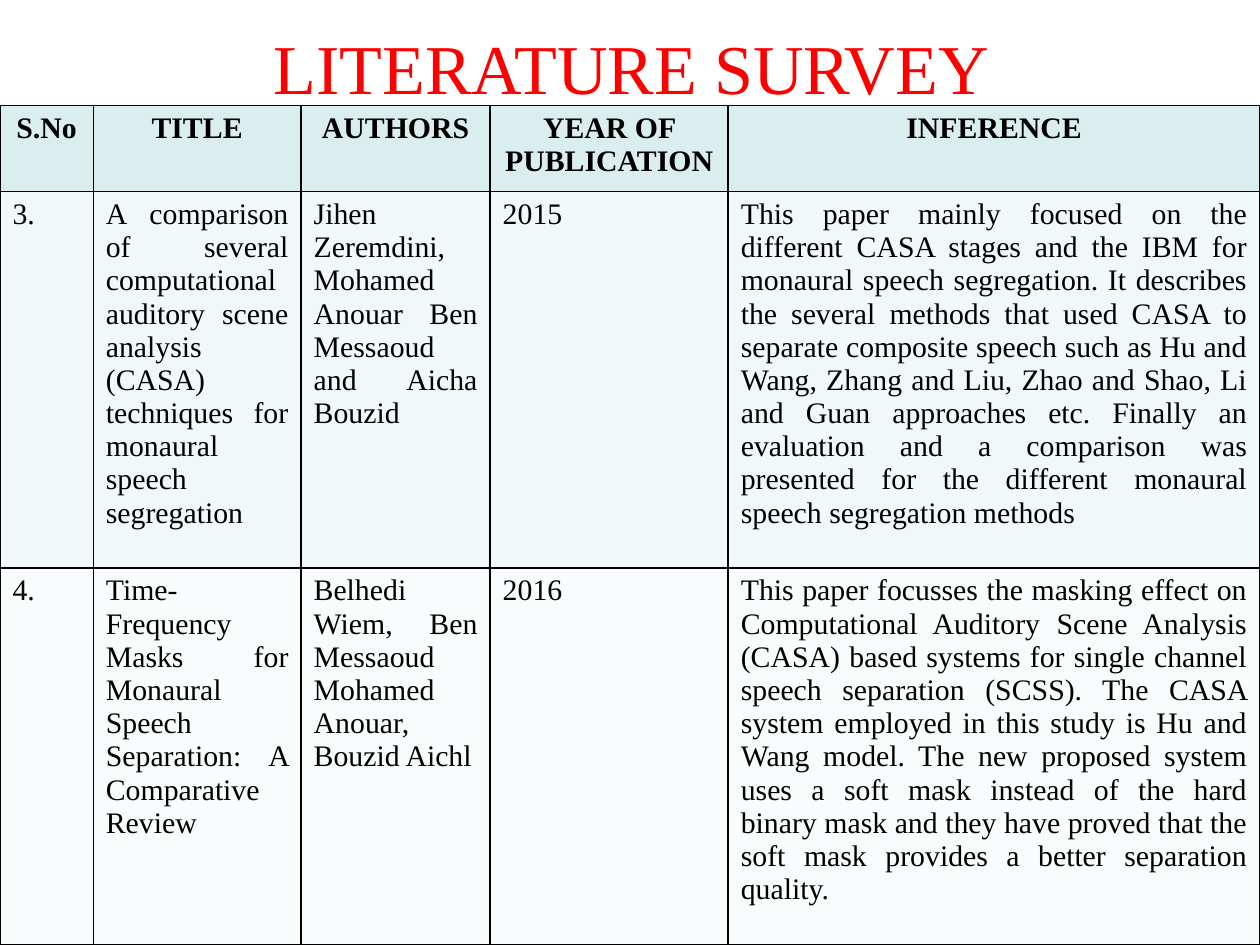
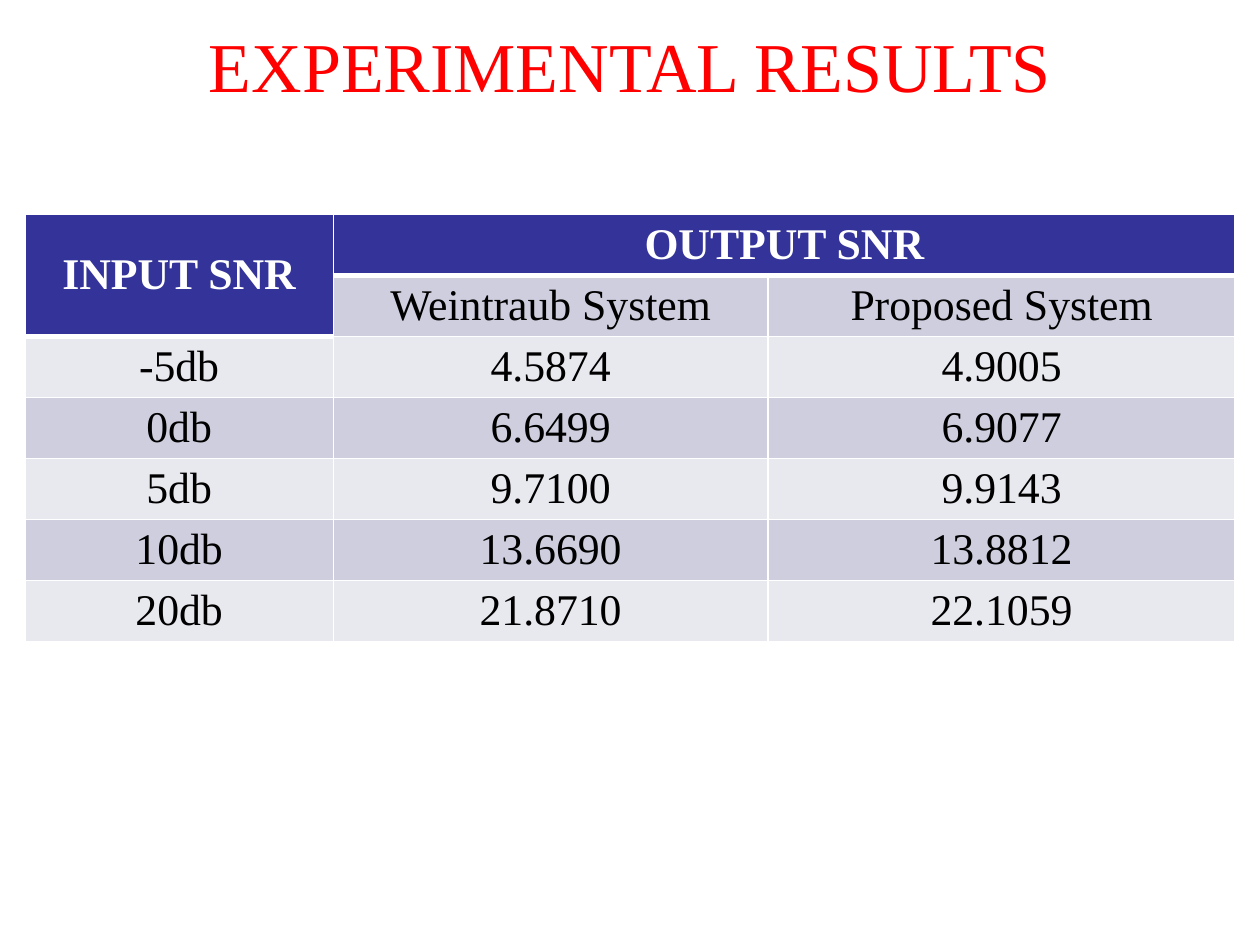
from lxml import etree
from pptx import Presentation
from pptx.dml.color import RGBColor
from pptx.enum import text
from pptx.oxml.ns import qn
from pptx.util import Cm, Pt

FONT = "Times New Roman"
RED, BLACK, WHITE = "FF0000", "000000", "FFFFFF"
NAVY, LILAC, PALE = "333399", "CECEDE", "E8E8EF"
SURVEY_FILLS = ["DAEDEF", "F1F8F9", "F8FCFC"]
CENTER, JUSTIFY = text.PP_ALIGN.CENTER, text.PP_ALIGN.JUSTIFY
TOP, MIDDLE = text.MSO_ANCHOR.TOP, text.MSO_ANCHOR.MIDDLE

SURVEY = [
    ["S.No", "TITLE", "AUTHORS", "YEAR OF PUBLICATION ", "INFERENCE"],
    ["3.",
     "A comparison of several computational auditory scene analysis (CASA) "
     "techniques for monaural speech segregation",
     "Jihen Zeremdini, Mohamed Anouar Ben Messaoud and Aicha Bouzid",
     "2015",
     "This paper mainly focused on the different CASA stages and the IBM for "
     "monaural speech segregation. It describes the several methods that used "
     "CASA to separate composite speech such as Hu and Wang, Zhang and Liu, "
     "Zhao and Shao, Li and Guan approaches etc. Finally an evaluation and a "
     "comparison was presented for the different monaural speech segregation "
     "methods "],
    ["4.",
     "Time-Frequency Masks for Monaural Speech Separation: A Comparative Review",
     "Belhedi Wiem, Ben Messaoud Mohamed Anouar, Bouzid Aichl",
     "2016",
     "This paper focusses the masking effect on Computational Auditory Scene "
     "Analysis (CASA) based systems for single channel speech separation "
     "(SCSS). The CASA system employed in this study is Hu and Wang model. The "
     "new proposed system uses a soft mask instead of the hard binary mask and "
     "they have proved that the soft mask provides a better separation "
     "quality. "],
]
RESULTS = [
    ["INPUT SNR", "OUTPUT SNR", ""],
    ["", "Weintraub System", "Proposed System"],
    ["-5db", "4.5874", "4.9005"],
    ["0db", "6.6499", "6.9077"],
    ["5db", "9.7100", "9.9143"],
    ["10db", "13.6690", "13.8812"],
    ["20db", "21.8710", "22.1059"],
]


def color(value):
    """Turn a hex string into a colour."""
    return RGBColor.from_string(value)


def write(frame, words, size, ink, align, bold=False):
    """Write one formatted run into the first paragraph of a text frame."""
    para = frame.paragraphs[0]
    para.alignment = align
    span = para.add_run()
    span.text = words
    span.font.name = FONT
    span.font.size = Pt(size)
    span.font.bold = bold
    span.font.color.rgb = color(ink)


def add_page(deck, title, left, top):
    """Add a title-only page with the shared red title."""
    page = deck.slides.add_slide(deck.slide_layouts[5])
    box = page.shapes.title
    box.left, box.top, box.width, box.height = Cm(left), Cm(top), Cm(22.86), Cm(3.18)
    box.text_frame.auto_size = text.MSO_AUTO_SIZE.NONE
    box.text_frame.vertical_anchor = MIDDLE
    write(box.text_frame, title, 40, RED, CENTER)
    return page


def add_grid(page, left, top, widths, heights):
    """Add a plain table with the given column widths and row heights."""
    grid = page.shapes.add_table(len(heights), len(widths), Cm(left), Cm(top),
                                 Cm(sum(widths)), Cm(sum(heights))).table
    grid.first_row = grid.horz_banding = False
    for column, width in zip(grid.columns, widths):
        column.width = Cm(width)
    for row, height in zip(grid.rows, heights):
        row.height = Cm(height)
    return grid


def style_cell(cell, fill, line):
    """Give a cell its fill and a thin border on every side."""
    properties = cell._tc.get_or_add_tcPr()
    for side in ("a:lnL", "a:lnR", "a:lnT", "a:lnB"):
        border = etree.SubElement(properties, qn(side), w=str(Pt(1)))
        solid = etree.SubElement(border, qn("a:solidFill"))
        etree.SubElement(solid, qn("a:srgbClr"), val=line)
    cell.fill.solid()
    cell.fill.fore_color.rgb = color(fill)


def thicken(cell, side):
    """Widen one border of a cell to the header rule."""
    cell._tc.tcPr.find(qn(side)).set("w", str(Pt(3)))


def add_survey(page):
    """Add the table of surveyed papers."""
    grid = add_grid(page, 0, 2.13, [1.88, 4.19, 3.81, 4.8, 10.72], [1.73, 7.59, 7.59])
    for r, (row, fill) in enumerate(zip(SURVEY, SURVEY_FILLS)):
        for c, words in enumerate(row):
            cell = grid.cell(r, c)
            style_cell(cell, fill, BLACK)
            write(cell.text_frame, words, 17, BLACK, JUSTIFY if r else CENTER, r == 0)


def add_results(page):
    """Add the table of signal-to-noise results."""
    grid = add_grid(page, 0.5, 4.32, [6.22, 8.76, 9.42], [1.23] * len(RESULTS))
    grid.cell(0, 0).merge(grid.cell(1, 0))
    grid.cell(0, 1).merge(grid.cell(0, 2))
    for r, row in enumerate(RESULTS):
        for c, words in enumerate(row):
            cell = grid.cell(r, c)
            header = r == 0 or (r, c) == (1, 0)
            style_cell(cell, NAVY if header else LILAC if r % 2 else PALE, WHITE)
            cell.vertical_anchor = MIDDLE if c == 0 and header else TOP
            if words:
                write(cell.text_frame, words, 25, WHITE if header else BLACK,
                      CENTER, header)
    thicken(grid.cell(0, 0), "a:lnB")
    for r, c in ((1, 0), (0, 1), (0, 2)):
        thicken(grid.cell(r, c), "a:lnB")
        thicken(grid.cell(r + 1, c), "a:lnT")


def main():
    """Build both pages and save the deck."""
    deck = Presentation()
    deck.slide_width, deck.slide_height = Cm(25.4), Cm(19.05)
    add_survey(add_page(deck, "LITERATURE SURVEY", 1.3, -0.25))
    add_results(add_page(deck, "EXPERIMENTAL RESULTS", 1.27, -0.28))
    deck.save("out.pptx")


main()
